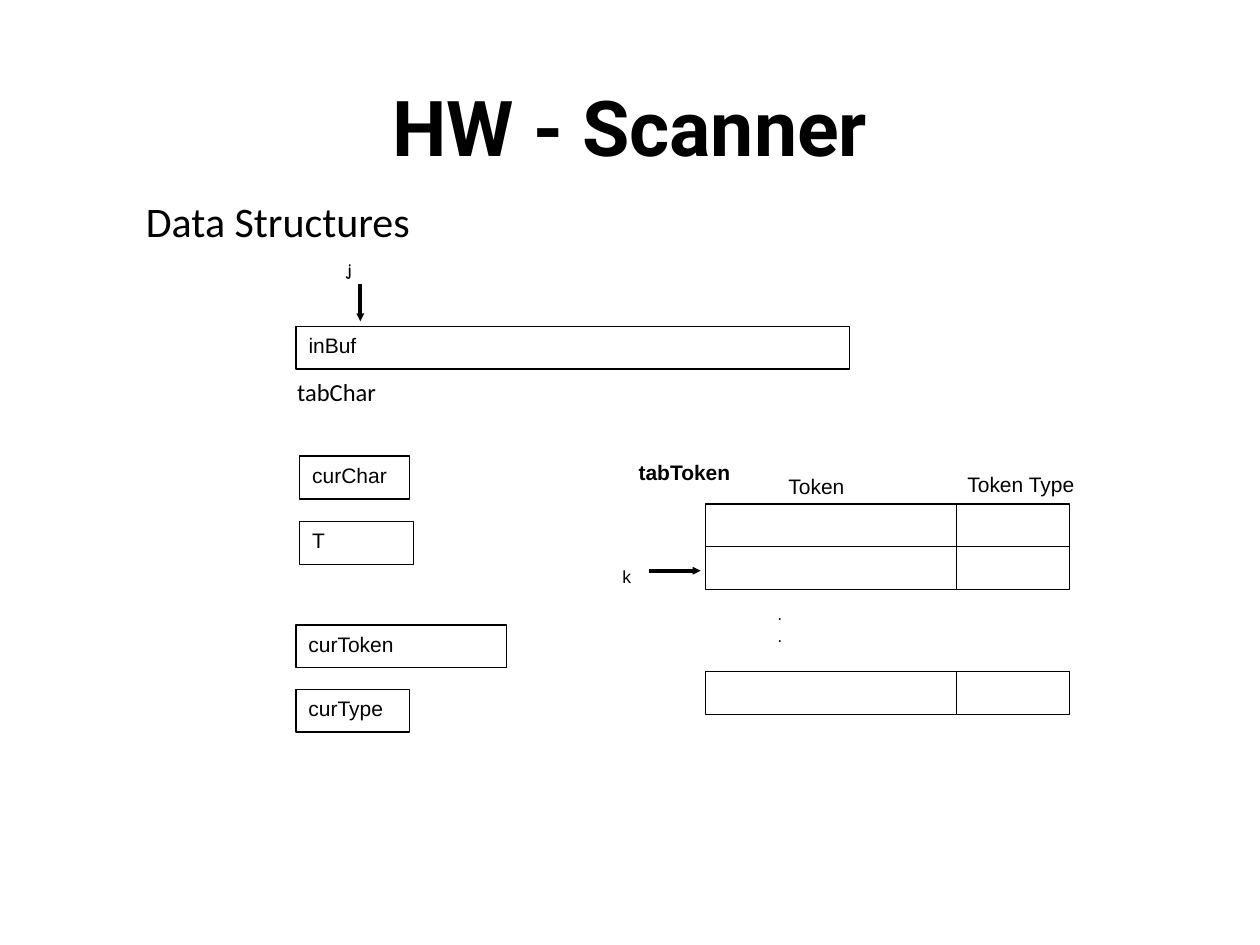
from lxml import etree
from pptx import Presentation
from pptx.dml.color import RGBColor
from pptx.enum.shapes import MSO_CONNECTOR, MSO_SHAPE
from pptx.enum.text import MSO_ANCHOR, PP_ALIGN
from pptx.oxml.ns import qn
from pptx.util import Inches, Pt

RECTANGLE = MSO_SHAPE.RECTANGLE
STRAIGHT = MSO_CONNECTOR.STRAIGHT
TOP, MIDDLE = MSO_ANCHOR.TOP, MSO_ANCHOR.MIDDLE
LEFT, CENTER = PP_ALIGN.LEFT, PP_ALIGN.CENTER

THEME = {
    "ink": RGBColor(0, 0, 0),
    "paper": RGBColor(255, 255, 255),
    "box_line": Pt(0.75),
    "arrow_line": Pt(2.25),
    "title": {"name": "Roboto", "size": Pt(44), "bold": True},
    "heading": {"name": "Calibri", "size": Pt(24), "bold": False},
    "subheading": {"name": "Calibri", "size": Pt(14), "bold": False},
    "box": {"name": "Arial", "size": Pt(12), "bold": False},
    "table_name": {"name": "Arial", "size": Pt(12), "bold": True},
    "index": {"name": "Arial", "size": Pt(10), "bold": False},
    "comic": {"name": "Comic Neue", "size": Pt(10), "bold": True},
}

ROW_HEIGHT = 0.34
LABELS = [
    (["HW - Scanner"], "title", (0.5, 0.56, 9, 0.88), CENTER, MIDDLE, 0),
    (["Data Structures"], "heading", (1, 1.5, 2.72, 1.22), LEFT, TOP, 0.06),
    (["j"], "comic", (2.66, 2.01, 0.66, 0.3), LEFT, TOP, 0),
    (["tabChar"], "subheading", (2.2, 2.94, 1.05, 0.5), LEFT, TOP, 0.06),
    (["tabToken"], "table_name", (4.97, 3.6, 1.14, 0.3), LEFT, TOP, 0),
    (["k"], "index", (4.84, 4.44, 0.39, 0.3), LEFT, TOP, 0),
    ([".", "."], "comic", (6.08, 4.74, 0.66, 0.55), LEFT, TOP, 0),
]
VARIABLES = [
    ("inBuf", 2.35, 2.59, 4.39),
    ("curChar", 2.38, 3.62, 0.87),
    ("T", 2.38, 4.14, 0.9),
    ("curToken", 2.35, 4.96, 1.67),
    ("curType", 2.35, 5.47, 0.9),
]
COLUMN_HEADERS = [("Token", 6.16, 3.71, 0.9), ("Token Type", 7.58, 3.69, 1.67)]
TOKEN_COLUMNS = [(5.6, 1.99), (7.59, 0.9)]
TOKEN_ROWS = [4, 4 + ROW_HEIGHT, 5.33]
POINTERS = [((2.86, 2.25), (2.86, 2.55)), ((5.15, 4.53), (5.56, 4.53))]


def write_text(shape, lines, style, alignment=LEFT, anchor=TOP, indent=0):
    frame = shape.text_frame
    frame.word_wrap = True
    frame.vertical_anchor = anchor
    frame.text = "\n".join(lines)
    for paragraph in frame.paragraphs:
        paragraph.alignment = alignment
        if indent:
            paragraph._p.get_or_add_pPr().set("marL", str(Inches(indent)))
        for run in paragraph.runs:
            for attribute, value in THEME[style].items():
                setattr(run.font, attribute, value)
            run.font.color.rgb = THEME["ink"]


def add_label(slide, lines, style, place, alignment, anchor, indent):
    label = slide.shapes.add_textbox(*map(Inches, place))
    write_text(label, lines, style, alignment, anchor, indent)


def add_box(slide, text, left, top, width, outlined=True):
    box = slide.shapes.add_shape(
        RECTANGLE, *map(Inches, (left, top, width, ROW_HEIGHT)))
    box.shadow.inherit = False
    box.fill.solid()
    box.fill.fore_color.rgb = THEME["paper"]
    if outlined:
        box.line.color.rgb = THEME["ink"]
        box.line.width = THEME["box_line"]
    else:
        box.line.fill.background()
    if text:
        write_text(box, [text], "box")


def add_pointer(slide, start, end):
    pointer = slide.shapes.add_connector(STRAIGHT, *map(Inches, start + end))
    pointer.line.color.rgb = THEME["ink"]
    pointer.line.width = THEME["arrow_line"]
    etree.SubElement(pointer.line._get_or_add_ln(), qn("a:tailEnd"),
                     type="triangle", w="sm", len="sm")
    etree.SubElement(pointer._element.spPr, qn("a:effectLst"))


def main():
    presentation = Presentation()
    presentation.slide_width = Inches(10)
    presentation.slide_height = Inches(7.5)
    slide = presentation.slides.add_slide(presentation.slide_layouts[6])
    for variable in VARIABLES:
        add_box(slide, *variable)
    for header in COLUMN_HEADERS:
        add_box(slide, *header, outlined=False)
    for top in TOKEN_ROWS:
        for left, width in TOKEN_COLUMNS:
            add_box(slide, "", left, top, width)
    for label in LABELS:
        add_label(slide, *label)
    for start, end in POINTERS:
        add_pointer(slide, start, end)
    presentation.save("out.pptx")


if __name__ == "__main__":
    main()
